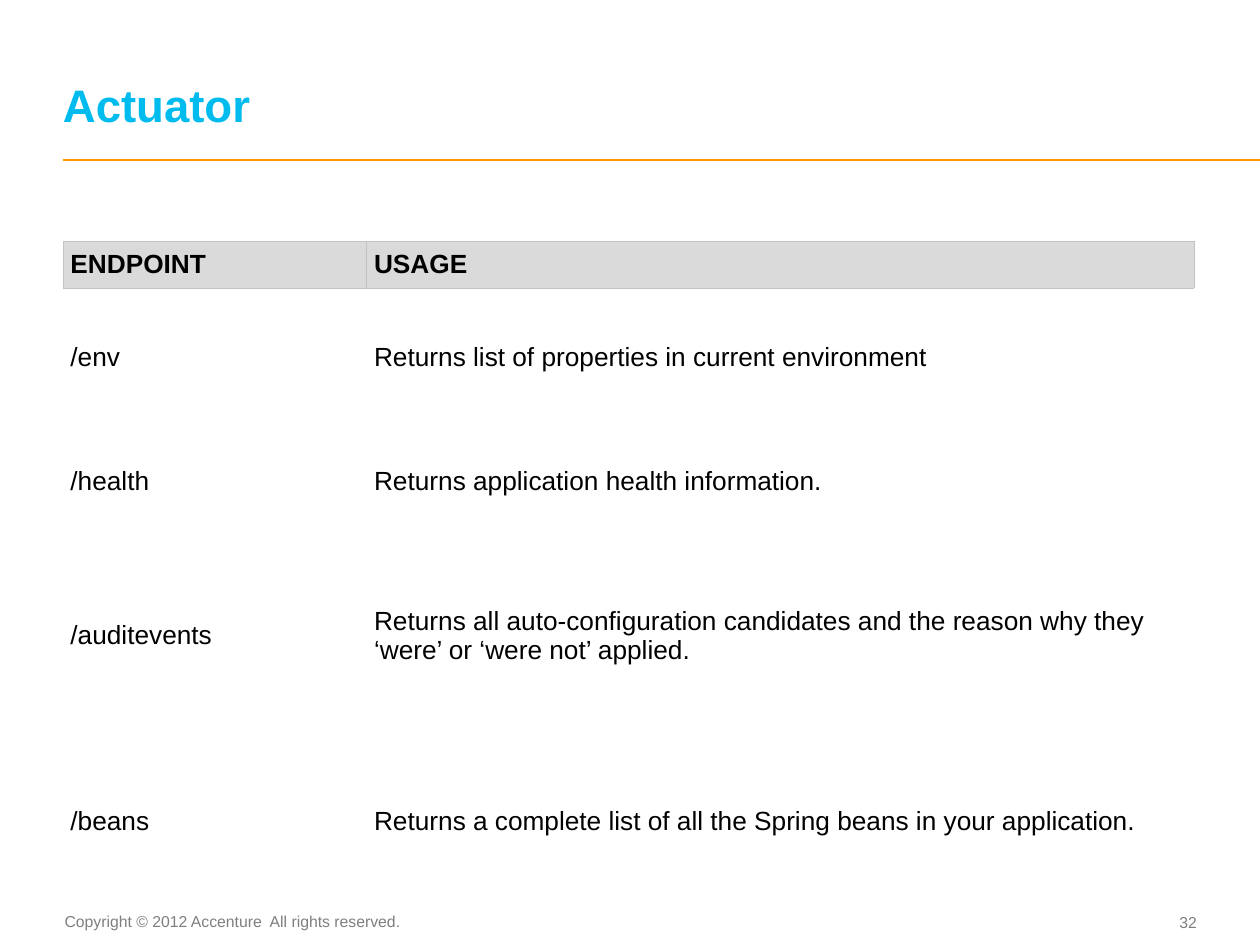
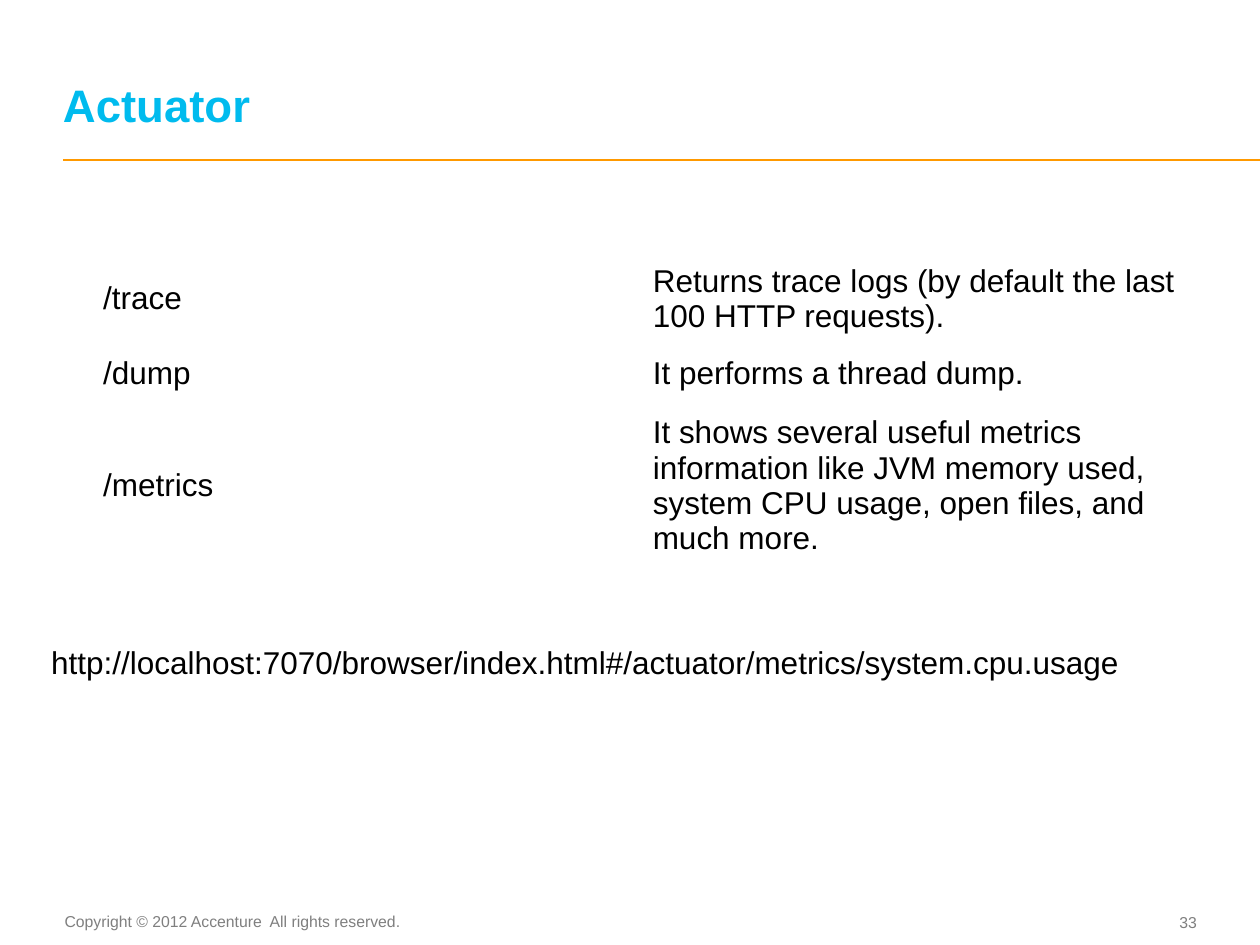
from dataclasses import dataclass

from lxml import etree
from pptx import Presentation
from pptx import util as u
from pptx.dml.color import RGBColor
from pptx.enum import shapes, text
from pptx.oxml import ns

Cm, Pt = u.Cm, u.Pt
ANCHOR, ALIGN = text.MSO_ANCHOR, text.PP_ALIGN
NO_STYLE = "{2D5ABB26-0587-4C30-8999-92F81FD0307C}"


@dataclass(frozen=True)
class Theme:
    font: str = "Arial"
    title: str = "00BBEE"
    rule: str = "FF9900"
    ink: str = "000000"
    muted: str = "7F7F7F"
    paper: str = "FFFFFF"
    header: str = "DADADA"
    border: str = "C3C3C3"
    title_pt: int = 26
    body_pt: int = 18
    table_pt: int = 15
    footer_pt: int = 9


T = Theme()
SLIDE_W, SLIDE_H = 25.4, 19.05
TITLE_BOX = (1.27, 0.48, 22.78, 2.18)
COPYRIGHT_BOX = (1.24, 18.26, 7.14, 0.64)
NUMBER_BOX = (22.63, 18.24, 1.5, 0.69)
FIRST_NUMBER = 32
COPYRIGHT = "Copyright © 2012 Accenture  All rights reserved."

ENDPOINTS = [
    ("ENDPOINT", "USAGE"),
    ("/env", "Returns list of properties in current environment"),
    ("/health", "Returns application health information."),
    ("/auditevents", "Returns all auto-configuration candidates and the reason "
                     "why they ‘were’ or ‘were not’ applied."),
    ("/beans", "Returns a complete list of all the Spring beans in your application."),
]
MORE_ENDPOINTS = [
    ("/trace", "Returns trace logs (by default the last 100 HTTP requests)."),
    ("/dump", "It performs a thread dump."),
    ("/metrics", "It shows several useful metrics information like JVM memory used, "
                 "system CPU usage, open files, and much more."),
]
METRICS_URL = "http://localhost:7070/browser/index.html#/actuator/metrics/system.cpu.usage"


def apply(obj, formats):
    for name, value in formats.items():
        setattr(obj, name, value)


def margins(left, top, right, bottom):
    return {"margin_left": Cm(left), "margin_top": Cm(top),
            "margin_right": Cm(right), "margin_bottom": Cm(bottom)}


def write(tf, words, size, color, bold=False, **para):
    p = tf.paragraphs[0]
    apply(p, para)
    r = p.add_run()
    r.text = words
    apply(r.font, {"name": T.font, "size": Pt(size), "bold": bold})
    r.font.color.rgb = RGBColor.from_string(color)


def add_text(s, box, words, size, color, inset=(0, 0, 0, 0), anchor=ANCHOR.TOP, **style):
    tf = s.shapes.add_textbox(*map(Cm, box)).text_frame
    apply(tf, {"word_wrap": True, "vertical_anchor": anchor, **margins(*inset)})
    write(tf, words, size, color, **style)


def add_rule(s, left, right, y):
    line = s.shapes.add_connector(shapes.MSO_CONNECTOR.STRAIGHT,
                                  Cm(left), Cm(y), Cm(right), Cm(y))
    line.line.width = Pt(1)
    line.line.color.rgb = RGBColor.from_string(T.rule)
    etree.SubElement(line._element.spPr, ns.qn("a:effectLst"))


def add_borders(cell):
    """Outline a cell; the lines must precede its fill in the XML."""
    tcPr = cell._tc.get_or_add_tcPr()
    for i, side in enumerate(("lnL", "lnR", "lnT", "lnB")):
        ln = etree.Element(ns.qn(f"a:{side}"), w=str(Pt(0.6)))
        fill = etree.SubElement(ln, ns.qn("a:solidFill"))
        etree.SubElement(fill, ns.qn("a:srgbClr"), val=T.border)
        tcPr.insert(i, ln)


def add_grid(s, left, top, widths, heights, rows, size, inset, header=False):
    """Place a table whose first row is a bordered heading if header is set."""
    frame = s.shapes.add_table(len(rows), len(widths), Cm(left), Cm(top),
                               Cm(sum(widths)), Cm(sum(heights)))
    tbl = frame.table
    apply(tbl, {"first_row": header, "horz_banding": False})
    tbl._tbl.tblPr.find(ns.qn("a:tableStyleId")).text = NO_STYLE
    for col, width in zip(tbl.columns, widths):
        col.width = Cm(width)
    for i, (row, height, words) in enumerate(zip(tbl.rows, heights, rows)):
        row.height = Cm(height)
        heading = header and i == 0
        for cell, value in zip(row.cells, words):
            apply(cell, {"vertical_anchor": ANCHOR.MIDDLE, **margins(*[inset] * 4)})
            cell.fill.solid()
            cell.fill.fore_color.rgb = RGBColor.from_string(T.header if heading else T.paper)
            write(cell.text_frame, value, size, T.ink, bold=heading)
            if heading:
                add_borders(cell)


def add_frame(prs, title, number):
    """Start a slide with the shared title, rule and footer."""
    s = prs.slides.add_slide(prs.slide_layouts[6])
    add_rule(s, TITLE_BOX[0], SLIDE_W, 3.23)
    add_text(s, COPYRIGHT_BOX, COPYRIGHT, T.footer_pt, T.muted,
             inset=(0, 0.13, 0.25, 0.13), alignment=ALIGN.CENTER)
    add_text(s, NUMBER_BOX, str(number), T.footer_pt, T.muted,
             anchor=ANCHOR.MIDDLE, alignment=ALIGN.RIGHT)
    add_text(s, TITLE_BOX, title, T.title_pt, T.title, anchor=ANCHOR.BOTTOM,
             bold=True, line_spacing=Pt(T.title_pt))
    return s


def endpoint_slide(prs, number):
    s = add_frame(prs, "Actuator", number)
    add_grid(s, 1.27, 4.87, (6.12, 16.68), (0.91, 2.8, 2.18, 4.06, 3.43),
             ENDPOINTS, T.table_pt, 0.15, header=True)


def metrics_slide(prs, number):
    s = add_frame(prs, "Actuator", number)
    add_grid(s, 1.9, 5.08, (11.08, 11.08), (1.78, 1.07, 3.2),
             MORE_ENDPOINTS, T.body_pt, 0.18)
    add_text(s, (0.78, 12.83, 23.22, 1.02), METRICS_URL, T.body_pt, T.ink,
             inset=(0.25, 0.13, 0.25, 0.13))


def main():
    prs = Presentation()
    apply(prs, {"slide_width": Cm(SLIDE_W), "slide_height": Cm(SLIDE_H)})
    for number, build in enumerate((endpoint_slide, metrics_slide), FIRST_NUMBER):
        build(prs, number)
    prs.save("out.pptx")


if __name__ == "__main__":
    main()
